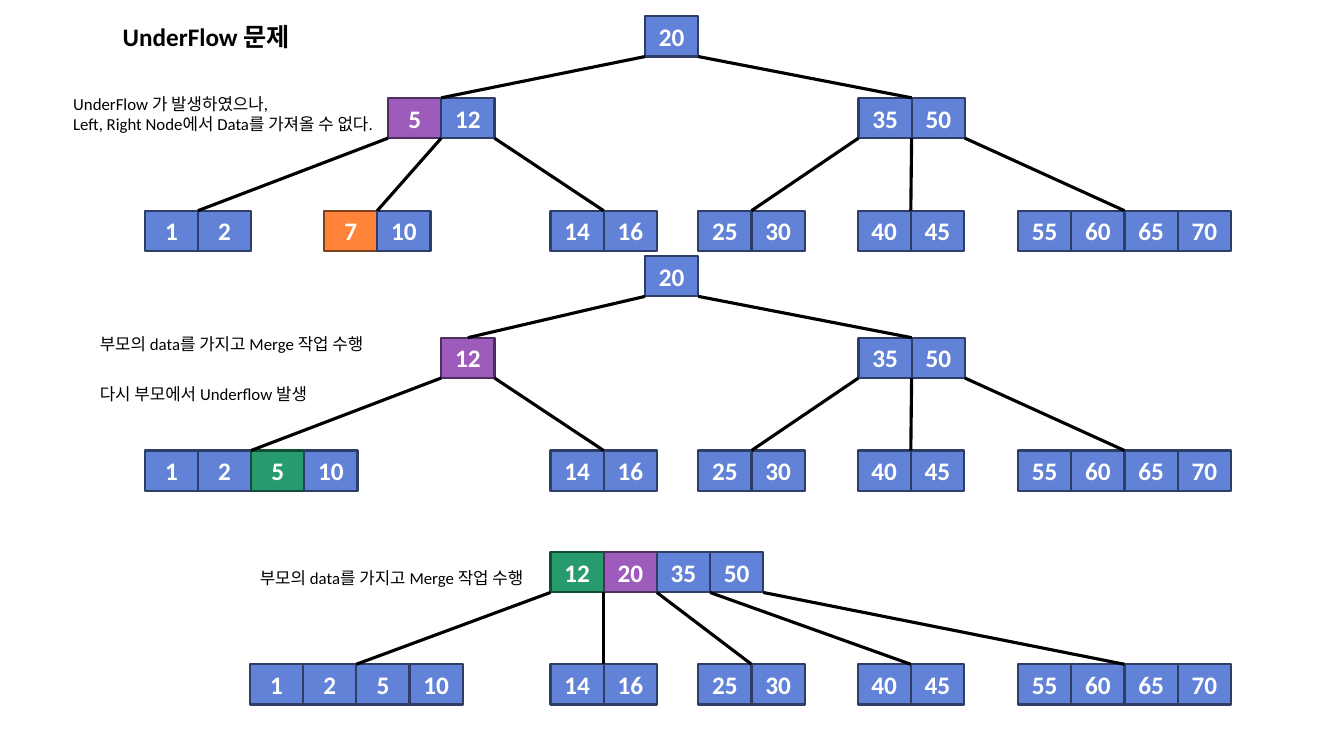
import pptx
import pptx.dml.color
import pptx.enum.shapes
import pptx.enum.text
import pptx.oxml.ns
import pptx.util
from dataclasses import dataclass

Pt = pptx.util.Pt


@dataclass(frozen=True)
class Theme:
    font = "Calibri"
    ink = "000000"
    cell_text = "FFFFFF"
    blue = ("6182D6", "2E3E67")
    purple = ("9D5CBB", "4E2E5D")
    orange = ("FF843A", "7F421D")
    green = ("289B6E", "144D37")
    large = 18
    small = 12
    border = 1.5
    edge = 2.25


@dataclass(frozen=True)
class Node:
    left: float
    keys: tuple
    children: tuple = ()


THEME = Theme()
CELL_WIDTH, CELL_HEIGHT = 38, 28.8

LEAF_14 = Node(393.2, (14, 16))
LEAF_25 = Node(498.8, (25, 30))
LEAF_40 = Node(612.6, (40, 45))
LEAF_55 = Node(727.2, (55, 60, 65, 70))
RIGHT = Node(613.2, (35, 50), ((0, LEAF_25), (1, LEAF_40), (2, LEAF_55)))

SHORT_OF_KEYS = Node(277.2, (5, 12), (
    (0, Node(103.4, (1, 2))),
    (1, Node(231.5, (7, 10))),
    (2, LEAF_14),
))
AFTER_MERGE = Node(315.2, (12,), ((0, Node(103.4, (1, 2, 5, 10))), (1, LEAF_14)))
MERGED_ROOT = Node(393.2, (12, 20, 35, 50), (
    (0, Node(178.5, (1, 2, 5, 10))),
    (1, LEAF_14),
    (2, LEAF_25),
    (3, LEAF_40),
    (4, LEAF_55),
))

TREES = [
    (Node(460.8, (20,), ((0, SHORT_OF_KEYS), (1, RIGHT))),
     (11.6, 69.9, 150.5), {5: THEME.purple, 7: THEME.orange}),
    (Node(460.8, (20,), ((0, AFTER_MERGE), (1, RIGHT))),
     (182.9, 241.2, 321.8), {5: THEME.green, 12: THEME.purple}),
    (MERGED_ROOT,
     (394.4, 474.5), {12: THEME.green, 20: THEME.purple}),
]

TITLE = ("UnderFlow 문제", 80.6, 11.6, 143.3, 29)
NOTES = [
    ("UnderFlow 가 발생하였으나,\nLeft, Right Node에서 Data를 가져올 수 없다.", 45.2, 63.5, 251.3, 35.3),
    ("부모의 data를 가지고 Merge 작업 수행", 64.2, 234.6, 251.3, 21),
    ("다시 부모에서 Underflow 발생", 64.2, 270.2, 251.3, 21),
    ("부모의 data를 가지고 Merge 작업 수행", 178.5, 402, 251.3, 21),
]


def rgb(value):
    return pptx.dml.color.RGBColor.from_string(value)


def style_text(frame, size, color, bold):
    for para in frame.paragraphs:
        for span in para.runs:
            span.font.name = THEME.font
            span.font.size = Pt(size)
            span.font.bold = bold
            span.font.color.rgb = rgb(color)


def add_text(page, content, size, bold=False):
    text, *bounds = content
    box = page.shapes.add_textbox(*map(Pt, bounds))
    frame = box.text_frame
    frame.word_wrap = True
    frame.auto_size = pptx.enum.text.MSO_AUTO_SIZE.SHAPE_TO_FIT_TEXT
    frame.text = text
    style_text(frame, size, THEME.ink, bold)


def add_cell(page, left, top, key, colors):
    cell = page.shapes.add_shape(
        pptx.enum.shapes.MSO_SHAPE.RECTANGLE,
        Pt(left), Pt(top), Pt(CELL_WIDTH), Pt(CELL_HEIGHT))
    cell.shadow.inherit = False
    fill, border = colors
    cell.fill.solid()
    cell.fill.fore_color.rgb = rgb(fill)
    cell.line.color.rgb = rgb(border)
    cell.line.width = Pt(THEME.border)
    frame = cell.text_frame
    frame.text = str(key)
    frame.vertical_anchor = pptx.enum.text.MSO_ANCHOR.MIDDLE
    frame.paragraphs[0].alignment = pptx.enum.text.PP_ALIGN.CENTER
    style_text(frame, THEME.large, THEME.cell_text, True)
    return cell


def add_edge(page, start, end):
    edge = page.shapes.add_connector(
        pptx.enum.shapes.MSO_CONNECTOR.STRAIGHT, *map(Pt, start + end))
    edge.line.color.rgb = rgb(THEME.ink)
    edge.line.width = Pt(THEME.edge)
    properties = edge._element.spPr
    properties.append(properties.makeelement(pptx.oxml.ns.qn("a:effectLst"), {}))
    return edge


def add_node(page, node, tops, highlights):
    top = tops[0]
    cells = [
        add_cell(page, node.left + index * CELL_WIDTH, top, key,
                 highlights.get(key, THEME.blue))
        for index, key in enumerate(node.keys)
    ]
    for slot, child in node.children:
        child_cells = add_node(page, child, tops[1:], highlights)
        start = (node.left + slot * CELL_WIDTH, top + CELL_HEIGHT)
        end = (child.left + len(child.keys) * CELL_WIDTH / 2, tops[1])
        edge = add_edge(page, start, end)
        if len(child_cells) == 1:
            edge.end_connect(child_cells[0], 0)
    return cells


def main():
    deck = pptx.Presentation()
    deck.slide_width, deck.slide_height = Pt(960), Pt(540)
    page = deck.slides.add_slide(deck.slide_layouts[6])
    add_text(page, TITLE, THEME.large, bold=True)
    for root, tops, highlights in TREES:
        add_node(page, root, tops, highlights)
    for note in NOTES:
        add_text(page, note, THEME.small)
    deck.save("out.pptx")


if __name__ == "__main__":
    main()
